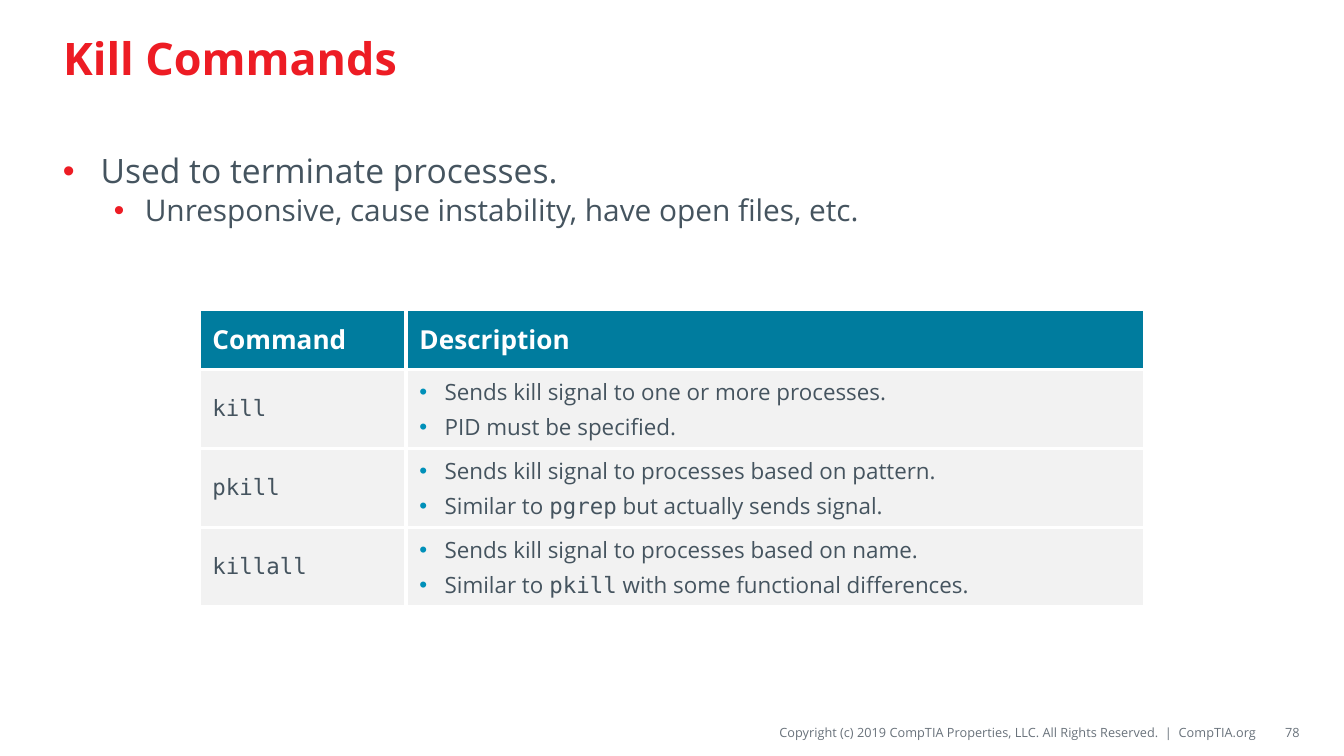
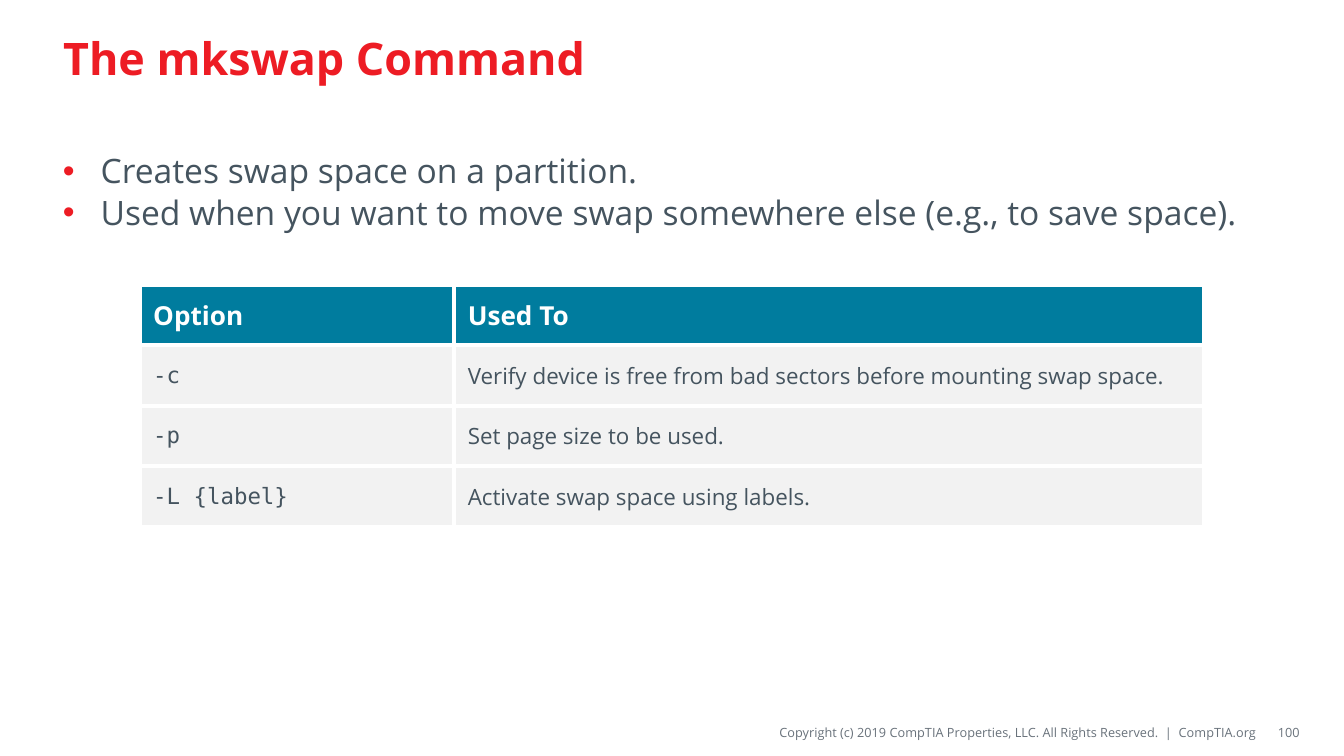
from lxml.etree import SubElement
from pptx import Presentation
from pptx.dml.color import RGBColor
from pptx.enum.text import MSO_ANCHOR, MSO_AUTO_SIZE, PP_ALIGN
from pptx.oxml.ns import qn
from pptx.util import Pt

COLORS = {
    "title": "ED1C24",
    "text": "45545F",
    "footer": "69727B",
    "header": "007C9E",
    "cell": "F2F2F2",
    "cell_bullet": "0090B9",
    "white": "FFFFFF",
}
SANS, MONO = "Open Sans", "DejaVu Sans Mono"
COPYRIGHT = ("Copyright (c) 2019 CompTIA Properties, LLC. "
             "All Rights Reserved.  |  CompTIA.org")
LEFT, WIDTH = 26.6, 666
HEADER_HEIGHT = 32.4
# Size, indent and hanging indent for each bullet level
LEVELS = [(18, 20.2, 20.2), (16, 43.9, 16.6)]


class Deck:
    def __init__(self):
        self.prs = Presentation()
        self.prs.slide_width, self.prs.slide_height = Pt(720), Pt(405)
        self.s = None

    # Text helpers
    def runs(self, p, text, size, color, bold=False):
        """Add text to a paragraph; parts between backticks are monospaced."""
        for i, part in enumerate(text.split("`")):
            if part:
                r = p.add_run()
                r.text = part
                r.font.name = MONO if i % 2 else SANS
                r.font.size = Pt(size)
                r.font.bold = bold
                r.font.color.rgb = RGBColor.from_string(COLORS[color])

    def bullet(self, p, color, indent, hanging):
        pPr = p._p.get_or_add_pPr()
        pPr.set("marL", str(Pt(indent)))
        pPr.set("indent", str(-Pt(hanging)))
        clr = SubElement(pPr, qn("a:buClr"))
        SubElement(clr, qn("a:srgbClr"), val=COLORS[color])
        SubElement(pPr, qn("a:buFont"), typeface="Arial")
        SubElement(pPr, qn("a:buChar"), char="•")

    def paragraph(self, tf, i):
        return tf.add_paragraph() if i else tf.paragraphs[0]

    def box(self, x, y, w, h):
        tf = self.s.shapes.add_textbox(Pt(x), Pt(y), Pt(w), Pt(h)).text_frame
        tf.word_wrap = True
        return tf

    # Slide parts
    def slide(self, title, number):
        self.s = self.prs.slides.add_slide(self.prs.slide_layouts[5])
        self.footer(COPYRIGHT, 279.4, 393.8, 0)
        sp = self.s.shapes.title
        sp.left, sp.top, sp.width, sp.height = Pt(LEFT), Pt(5.8), Pt(WIDTH), Pt(49.7)
        tf = sp.text_frame
        tf.auto_size = MSO_AUTO_SIZE.NONE
        tf.vertical_anchor = MSO_ANCHOR.MIDDLE
        p = tf.paragraphs[0]
        p.alignment = PP_ALIGN.LEFT
        self.runs(p, title, 24, "title", True)
        self.footer(str(number), 675.4, 20.9, 7.2)

    def footer(self, text, x, w, inset):
        tf = self.box(x, 384.5, w, 15.8)
        tf.margin_left, tf.margin_right = Pt(inset), 0
        tf.margin_top = tf.margin_bottom = Pt(3)
        tf.vertical_anchor = MSO_ANCHOR.MIDDLE
        p = tf.paragraphs[0]
        p.alignment = PP_ALIGN.RIGHT
        self.runs(p, text, 6.8, "footer")

    def body(self, items):
        tf = self.box(LEFT, 77, WIDTH, 280.8)
        for i, (level, text) in enumerate(items):
            size, indent, hanging = LEVELS[level]
            p = self.paragraph(tf, i)
            p.level = level
            self.bullet(p, "title", indent, hanging)
            if i:
                p.space_before = Pt(0.7)
            self.runs(p, text, size, "text")

    def table(self, x, y, widths, row_height, rows):
        """Fill a table; a tuple in a cell becomes a bulleted list."""
        heights = [HEADER_HEIGHT] + [row_height] * (len(rows) - 1)
        tbl = self.s.shapes.add_table(len(rows), len(widths), Pt(x), Pt(y),
                                      Pt(sum(widths)), Pt(sum(heights))).table
        tbl.horz_banding = False
        for col, w in zip(tbl.columns, widths):
            col.width = Pt(w)
        for i, (row, h) in enumerate(zip(rows, heights)):
            tbl.rows[i].height = Pt(h)
            for j, content in enumerate(row):
                self.cell(tbl.cell(i, j), content, i == 0)

    def cell(self, cell, content, header):
        tcPr = cell._tc.get_or_add_tcPr()
        for side in ("lnL", "lnR", "lnT", "lnB"):
            ln = SubElement(tcPr, qn(f"a:{side}"), w=str(Pt(2.25)))
            fill = SubElement(ln, qn("a:solidFill"))
            SubElement(fill, qn("a:srgbClr"), val=COLORS["white"])
        cell.fill.solid()
        cell.fill.fore_color.rgb = RGBColor.from_string(
            COLORS["header" if header else "cell"])
        cell.vertical_anchor = MSO_ANCHOR.MIDDLE
        bulleted = isinstance(content, tuple)
        for i, text in enumerate(content if bulleted else [content]):
            p = self.paragraph(cell.text_frame, i)
            if bulleted:
                self.bullet(p, "cell_bullet", 13.5, 13.5)
            if i:
                p.space_before = Pt(2.4)
            if header:
                self.runs(p, text, 14, "white", True)
            else:
                self.runs(p, text, 12, "text")


def main():
    deck = Deck()

    # Kill commands
    deck.slide("Kill Commands", 78)
    deck.body([
        (0, "Used to terminate processes."),
        (1, "Unresponsive, cause instability, have open files, etc."),
    ])
    deck.table(106.6, 165.6, [110.9, 396], 42.3, [
        ("Command", "Description"),
        ("`kill`", ("Sends kill signal to one or more processes.",
                    "PID must be specified.")),
        ("`pkill`", ("Sends kill signal to processes based on pattern.",
                     "Similar to `pgrep` but actually sends signal.")),
        ("`killall`", ("Sends kill signal to processes based on name.",
                       "Similar to `pkill` with some functional differences.")),
    ])

    # The mkswap command
    deck.slide("The mkswap Command", 100)
    deck.body([
        (0, "Creates swap space on a partition."),
        (0, "Used when you want to move swap somewhere else (e.g., to save space)."),
    ])
    deck.table(74.9, 152.6, [168.5, 401.8], HEADER_HEIGHT, [
        ("Option", "Used To"),
        ("`-c`", "Verify device is free from bad sectors before mounting swap space."),
        ("`-p`", "Set page size to be used."),
        ("`-L {label}`", "Activate swap space using labels."),
    ])

    deck.prs.save("out.pptx")


if __name__ == "__main__":
    main()
